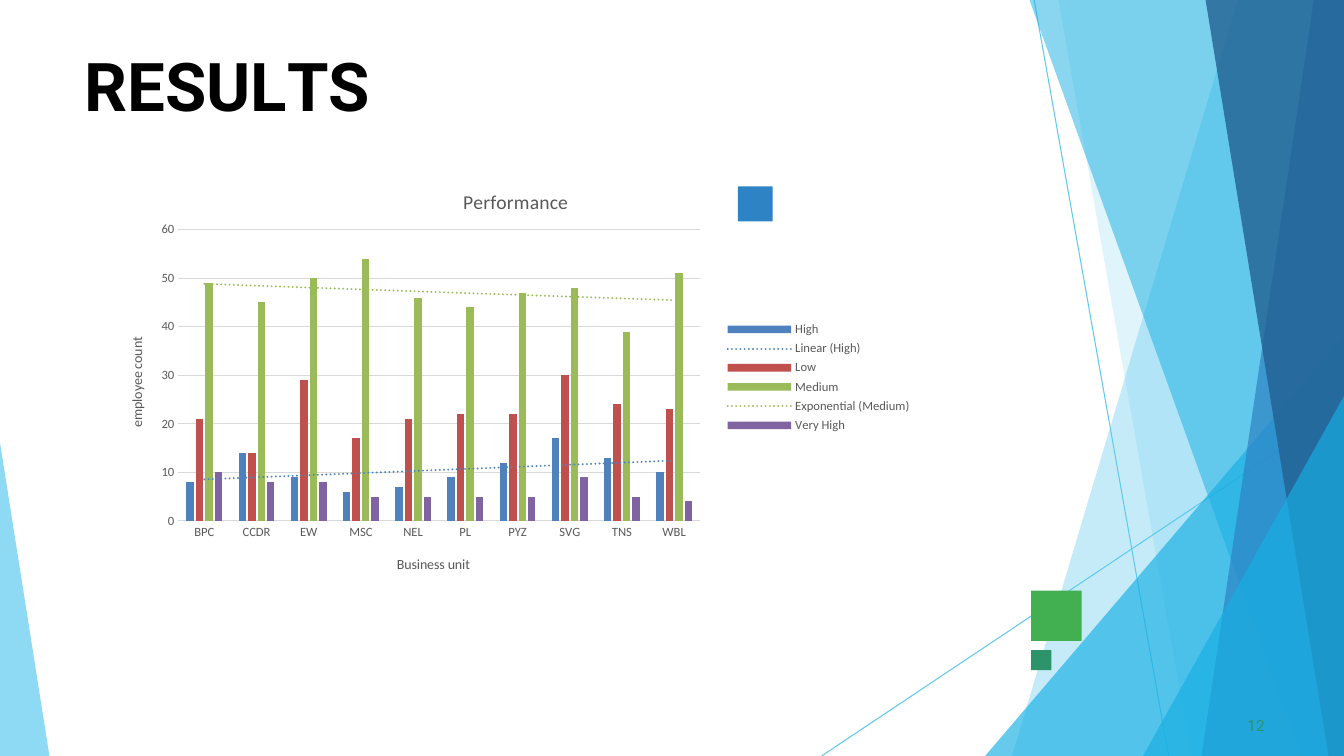
from dataclasses import dataclass

from lxml import etree
from pptx import Presentation
from pptx.chart.data import CategoryChartData
from pptx.dml.color import RGBColor
from pptx.enum.chart import XL_CHART_TYPE, XL_LEGEND_POSITION, XL_TICK_MARK
from pptx.enum.dml import MSO_LINE
from pptx.enum.shapes import MSO_CONNECTOR, MSO_SHAPE
from pptx.oxml.ns import qn
from pptx.util import Inches, Pt

CLUSTERED = XL_CHART_TYPE.COLUMN_CLUSTERED
LEGEND_RIGHT = XL_LEGEND_POSITION.RIGHT
NO_TICK = XL_TICK_MARK.NONE
STRAIGHT = MSO_CONNECTOR.STRAIGHT
RECTANGLE = MSO_SHAPE.RECTANGLE
DOTTED = MSO_LINE.ROUND_DOT

WIDTH, HEIGHT = Inches(13.33), Inches(7.5)
Point = tuple[float, float]


@dataclass(frozen=True)
class Theme:
    heading_font: str = "Roboto"
    chart_font: str = "Calibri"
    sky: str = "5FCAEE"
    cyan: str = "17AFE3"
    blue: str = "2D83C3"
    navy: str = "226192"
    green: str = "42AF51"
    teal: str = "2D936B"
    black: str = "000000"
    label: str = "595959"
    grid: str = "D9D9D9"
    heading_size: float = 48
    number_size: float = 11
    chart_title_size: float = 14
    axis_title_size: float = 10
    label_size: float = 9
    hairline: float = 0.75
    trend_line: float = 1.5


THEME = Theme()


@dataclass(frozen=True)
class Facet:
    """Translucent polygon; corners in percent of the slide."""
    corners: tuple[Point, ...]
    colour: str
    opacity: int


@dataclass(frozen=True)
class Square:
    left: float
    top: float
    side: float
    colour: str


@dataclass(frozen=True)
class Rating:
    name: str
    counts: tuple[int, ...]
    colour: str
    trend: str = ""


def right_band(top: float, bottom: float, colour: str, opacity: int) -> Facet:
    """Facet from a slanted edge to the right side of the slide."""
    return Facet(((100, 0), (top, 0), (bottom, 100), (100, 100)), colour, opacity)


def right_wedge(peak: float, foot: float) -> Facet:
    """Triangle in the lower right corner."""
    return Facet(((100, peak), (foot, 100), (100, 100)), THEME.cyan, 66)


RAYS: tuple[tuple[Point, Point], ...] = (
    ((76.95, 0), (86.95, 100)),
    ((100, 53.87), (61.13, 100)),
)
FACETS = (
    right_band(92.1, 75.3, THEME.sky, 36),
    right_band(78.75, 88.65, THEME.sky, 20),
    right_wedge(44.4, 73.3),
    right_band(76.6, 96.85, THEME.cyan, 50),
    right_band(97.75, 89.4, THEME.blue, 70),
    right_band(89.7, 98.85, THEME.navy, 80),
    right_wedge(52.4, 85.05),
    Facet(((0, 58.53), (0, 100), (3.68, 100)), THEME.sky, 70),
)
SQUARES = (
    Square(76.73, 78.13, 3.75, THEME.green),
    Square(54.9, 24.67, 2.6, THEME.blue),
    Square(76.73, 86, 1.5, THEME.teal),
)
UNITS = ("BPC", "CCDR", "EW", "MSC", "NEL", "PL", "PYZ", "SVG", "TNS", "WBL")
RATINGS = (
    Rating("High", (8, 14, 9, 6, 7, 9, 12, 17, 13, 10), "4F81BD", "linear"),
    Rating("Low", (21, 14, 29, 17, 21, 22, 22, 30, 24, 23), "C0504D"),
    Rating("Medium", (49, 45, 50, 54, 46, 44, 47, 48, 39, 51), "9BBB59", "exp"),
    Rating("Very High", (10, 8, 8, 5, 5, 5, 5, 9, 5, 4), "8064A2"),
)


def across(percent: float) -> int:
    return round(WIDTH * percent / 100)


def down(percent: float) -> int:
    return round(HEIGHT * percent / 100)


def rgb(colour: str) -> RGBColor:
    return RGBColor.from_string(colour)


def set_font(font, name: str, size: float, colour: str, bold: bool = False) -> None:
    font.name, font.size, font.bold = name, Pt(size), bold
    font.color.rgb = rgb(colour)


def paint(shape, colour: str, opacity: int = 100) -> None:
    shape.shadow.inherit = False
    shape.line.fill.background()
    shape.fill.solid()
    shape.fill.fore_color.rgb = rgb(colour)
    if opacity < 100:
        tint = shape.fill._xPr.find(".//" + qn("a:srgbClr"))
        etree.SubElement(tint, qn("a:alpha"), val=str(opacity * 1000))


def draw_ray(shapes, start: Point, end: Point) -> None:
    ray = shapes.add_connector(STRAIGHT, across(start[0]), down(start[1]),
                               across(end[0]), down(end[1]))
    ray.line.color.rgb = rgb(THEME.sky)
    ray.line.width = Pt(THEME.hairline)
    etree.SubElement(ray._element.spPr, qn("a:effectLst"))


def draw_facet(shapes, facet: Facet) -> None:
    first, *rest = [(across(x), down(y)) for x, y in facet.corners]
    outline = shapes.build_freeform(*first)
    outline.add_line_segments(rest, close=True)
    paint(outline.convert_to_shape(), facet.colour, facet.opacity)


def draw_square(shapes, square: Square) -> None:
    side = across(square.side)
    paint(shapes.add_shape(RECTANGLE, across(square.left), down(square.top), side, side),
          square.colour)


def add_line_of_text(shapes, box: tuple[float, float, float, float],
                     pieces: tuple[tuple[str, float], ...], size: float, colour: str,
                     bold: bool, inset: float):
    """Write one line; each piece has its letter spacing in points."""
    left, top, width, height = box
    frame = shapes.add_textbox(across(left), down(top), across(width), down(height)).text_frame
    frame.margin_left, frame.margin_top = Inches(inset), Inches(0.02)
    frame.margin_right = frame.margin_bottom = 0
    paragraph = frame.paragraphs[0]
    set_font(paragraph.font, THEME.heading_font, size, colour, bold)
    for text, spacing in pieces:
        run = paragraph.add_run()
        run.text = text
        run.font._element.set("spc", str(round(spacing * 100)))


def place(part, before, **shares: float) -> None:
    """Fix a chart part at shares of the chart's size, ahead of a sibling."""
    for old in part.findall(qn("c:layout")):
        part.remove(old)
    layout = etree.Element(qn("c:layout"))
    manual = etree.SubElement(layout, qn("c:manualLayout"))
    if part.tag == qn("c:plotArea"):
        etree.SubElement(manual, qn("c:layoutTarget"), val="inner")
    for side in ("x", "y"):
        etree.SubElement(manual, qn(f"c:{side}Mode"), val="edge")
    for side, share in shares.items():
        etree.SubElement(manual, qn(f"c:{side}"), val=str(share))
    before.addprevious(layout)


def add_title(owner, text: str, size: float, x: float, y: float) -> None:
    title = owner.chart_title if hasattr(owner, "chart_title") else owner.axis_title
    paragraph = title.text_frame.paragraphs[0]
    paragraph.text = text
    set_font(paragraph.font, THEME.chart_font, size, THEME.label)
    element = title._element
    place(element, element.find(qn("c:overlay")), x=x, y=y)


def add_trend(series, rating: Rating) -> None:
    trend = etree.Element(qn("c:trendline"))
    shape = etree.SubElement(trend, qn("c:spPr"))
    line = etree.SubElement(shape, qn("a:ln"), w=str(Pt(THEME.trend_line)), cap="rnd")
    fill = etree.SubElement(line, qn("a:solidFill"))
    etree.SubElement(fill, qn("a:srgbClr"), val=rating.colour)
    etree.SubElement(line, qn("a:prstDash"), val=MSO_LINE.to_xml(DOTTED))
    etree.SubElement(trend, qn("c:trendlineType"), val=rating.trend)
    for flag in ("dispRSqr", "dispEq"):
        etree.SubElement(trend, qn(f"c:{flag}"), val="0")
    series._element.find(qn("c:cat")).addprevious(trend)


def draw_performance(shapes) -> None:
    data = CategoryChartData()
    data.categories = UNITS
    for rating in RATINGS:
        data.add_series(rating.name, rating.counts)
    chart = shapes.add_chart(CLUSTERED, across(7.5), down(21.6), across(60.69),
                             down(56.67), data).chart
    set_font(chart.font, THEME.chart_font, THEME.label_size, THEME.label)
    add_title(chart, "Performance", THEME.chart_title_size, 0.44, 0.05)
    add_title(chart.category_axis, "Business unit", THEME.axis_title_size, 0.36, 0.91)
    add_title(chart.value_axis, "employee count", THEME.axis_title_size, 0.03, 0.4)

    for axis in (chart.category_axis, chart.value_axis):
        axis.major_tick_mark = axis.minor_tick_mark = NO_TICK
    chart.value_axis.format.line.fill.background()
    for rule in (chart.category_axis, chart.value_axis.major_gridlines):
        rule.format.line.color.rgb = rgb(THEME.grid)
        rule.format.line.width = Pt(THEME.hairline)

    plot = chart.plots[0]
    plot.gap_width, plot.overlap, plot.vary_by_categories = 219, -27, False
    for series, rating in zip(plot.series, RATINGS):
        series.format.fill.solid()
        series.format.fill.fore_color.rgb = rgb(rating.colour)
        if rating.trend:
            add_trend(series, rating)

    chart.has_legend = True
    chart.legend.position = LEGEND_RIGHT
    chart.legend.include_in_layout = False
    legend = chart.legend._element
    place(legend, legend.find(qn("c:overlay")), x=0.76, y=0.36, w=0.24, h=0.28)
    area = plot._element.getparent()
    place(area, plot._element, x=0.095, y=0.155, w=0.64, h=0.68)


def main() -> None:
    deck = Presentation()
    deck.slide_width, deck.slide_height = WIDTH, HEIGHT
    shapes = deck.slides.add_slide(deck.slide_layouts[6]).shapes
    for start, end in RAYS:
        draw_ray(shapes, start, end)
    for facet in FACETS:
        draw_facet(shapes, facet)
    for square in SQUARES:
        draw_square(shapes, square)
    add_line_of_text(shapes, (6.23, 5.6, 30.23, 10.8), (("RESU", 0), ("L", -4), ("TS", 0)),
                     THEME.heading_size, THEME.black, True, 0.01)
    add_line_of_text(shapes, (92.5, 94.4, 1.88, 2.8), (("12", 0.1),),
                     THEME.number_size, THEME.teal, False, 0.04)
    draw_performance(shapes)
    deck.save("out.pptx")


if __name__ == "__main__":
    main()
